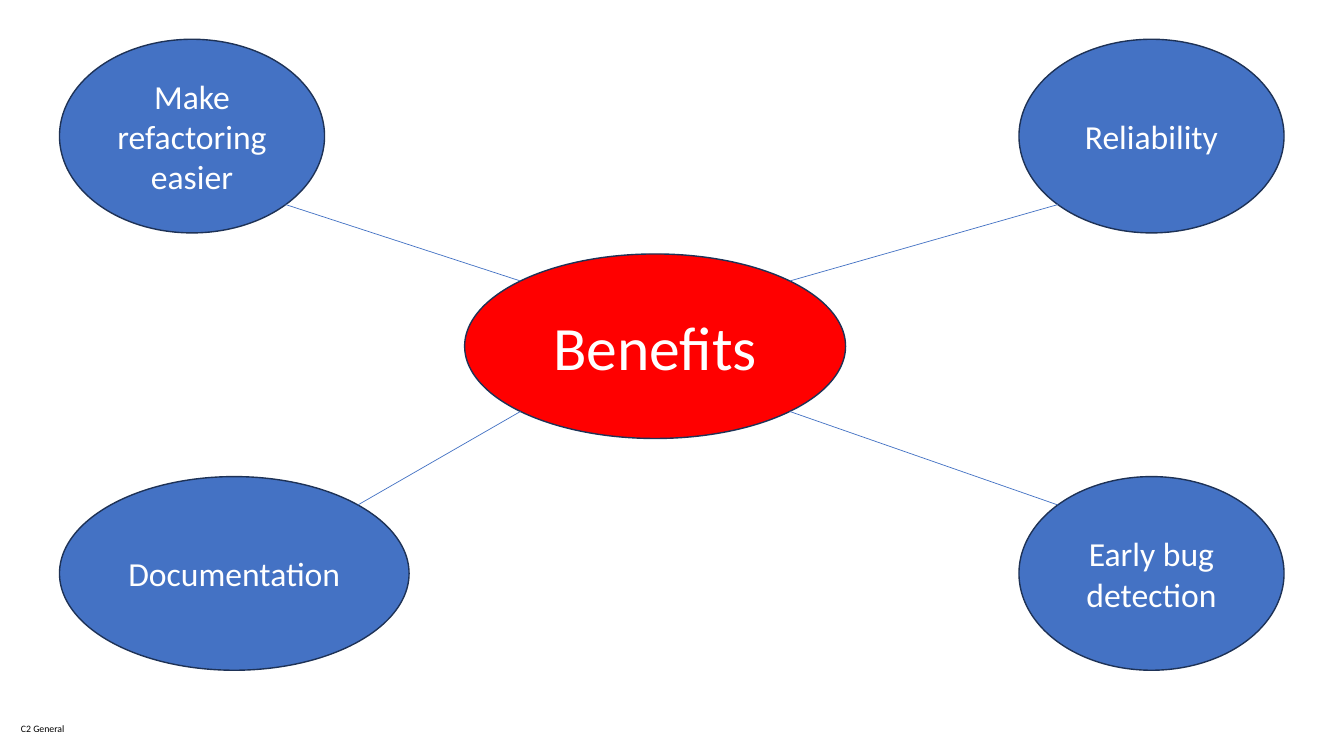
"""Build a mind map slide showing four benefits around a central topic."""
import math
from dataclasses import dataclass

import pptx
import pptx.dml.color
import pptx.enum.shapes
import pptx.enum.text
import pptx.oxml.ns
import pptx.shapes.autoshape
import pptx.slide
import pptx.text.text
import pptx.util
from lxml import etree
from pptx.util import Cm

COLOURS = {
    "topic": "FF0000",
    "benefit": "4472C4",
    "outline": "1E3256",
    "light": "FFFFFF",
    "dark": "000000",
}
FONT = "Calibri"


@dataclass(frozen=True)
class Bubble:
    """An ellipse with a label; lengths are in centimetres."""

    label: str
    left: float
    top: float
    width: float
    height: float
    fill: str = "benefit"
    size: int = 24

    def diagonal_point(self, across: int, down: int) -> tuple[float, float]:
        """Return the outline point in the diagonal direction given by two signs."""
        reach = math.sqrt(0.5)
        return (
            self.left + self.width / 2 * (1 + across * reach),
            self.top + self.height / 2 * (1 + down * reach),
        )


@dataclass(frozen=True)
class Branch:
    """A benefit and its direction as seen from the topic."""

    bubble: Bubble
    across: int
    down: int


LEFT, RIGHT, UPPER, LOWER = 1.5, 25.68, 0.99, 12.01
WIDTH, HEIGHT = 6.68, 4.88
TOPIC = Bubble("Benefits", 11.71, 6.4, 9.6, 4.65, "topic", 44)
BRANCHES = [
    Branch(Bubble("Reliability", RIGHT, UPPER, WIDTH, HEIGHT), 1, -1),
    Branch(Bubble("Early bug detection", RIGHT, LOWER, WIDTH, HEIGHT), 1, 1),
    Branch(Bubble("Documentation", LEFT, LOWER, 8.81, HEIGHT), -1, 1),
    Branch(Bubble("Make refactoring easier", LEFT, UPPER, WIDTH, HEIGHT), -1, -1),
]


def colour(name: str) -> pptx.dml.color.RGBColor:
    """Look up a named colour."""
    return pptx.dml.color.RGBColor.from_string(COLOURS[name])


def add_run(para: pptx.text.text._Paragraph, text: str, size: int, shade: str) -> None:
    """Add one formatted run to a paragraph."""
    span = para.add_run()
    span.text = text
    span.font.name = FONT
    span.font.size = pptx.util.Pt(size)
    span.font.color.rgb = colour(shade)


def draw_bubble(page: pptx.slide.Slide, bubble: Bubble) -> None:
    """Draw a filled ellipse with its centred label."""
    shape = page.shapes.add_shape(
        pptx.enum.shapes.MSO_SHAPE.OVAL,
        Cm(bubble.left), Cm(bubble.top), Cm(bubble.width), Cm(bubble.height),
    )
    shape.shadow.inherit = False
    shape.fill.solid()
    shape.fill.fore_color.rgb = colour(bubble.fill)
    shape.line.color.rgb = colour("outline")
    shape.line.width = pptx.util.Pt(1)
    frame = shape.text_frame
    frame.word_wrap = True
    frame.vertical_anchor = pptx.enum.text.MSO_ANCHOR.MIDDLE
    para = frame.paragraphs[0]
    para.alignment = pptx.enum.text.PP_ALIGN.CENTER
    add_run(para, bubble.label, bubble.size, "light")


def draw_link(page: pptx.slide.Slide, branch: Branch) -> None:
    """Draw the line from the topic to a benefit."""
    start = TOPIC.diagonal_point(branch.across, branch.down)
    end = branch.bubble.diagonal_point(-branch.across, -branch.down)
    link = page.shapes.add_connector(
        pptx.enum.shapes.MSO_CONNECTOR.STRAIGHT,
        *(Cm(length) for length in start + end),
    )
    link.line.color.rgb = colour("benefit")
    link.line.width = pptx.util.Pt(0.5)
    etree.SubElement(link._element.spPr, pptx.oxml.ns.qn("a:effectLst"))


def draw_classification(page: pptx.slide.Slide) -> None:
    """Write the classification label in the bottom left corner."""
    box = page.shapes.add_textbox(Cm(0.53), Cm(18.21), Cm(1.17), Cm(0.3))
    frame = box.text_frame
    frame.margin_left = frame.margin_right = frame.margin_top = frame.margin_bottom = 0
    frame.word_wrap = False
    frame.auto_size = pptx.enum.text.MSO_AUTO_SIZE.SHAPE_TO_FIT_TEXT
    add_run(frame.paragraphs[0], "C2 General", 7, "dark")


def main() -> None:
    """Build and save the deck."""
    deck = pptx.Presentation()
    deck.slide_width, deck.slide_height = Cm(33.87), Cm(19.05)
    page = deck.slides.add_slide(deck.slide_layouts[6])
    draw_classification(page)
    draw_bubble(page, TOPIC)
    for branch in BRANCHES:
        draw_bubble(page, branch.bubble)
        draw_link(page, branch)
    deck.save("out.pptx")


if __name__ == "__main__":
    main()
